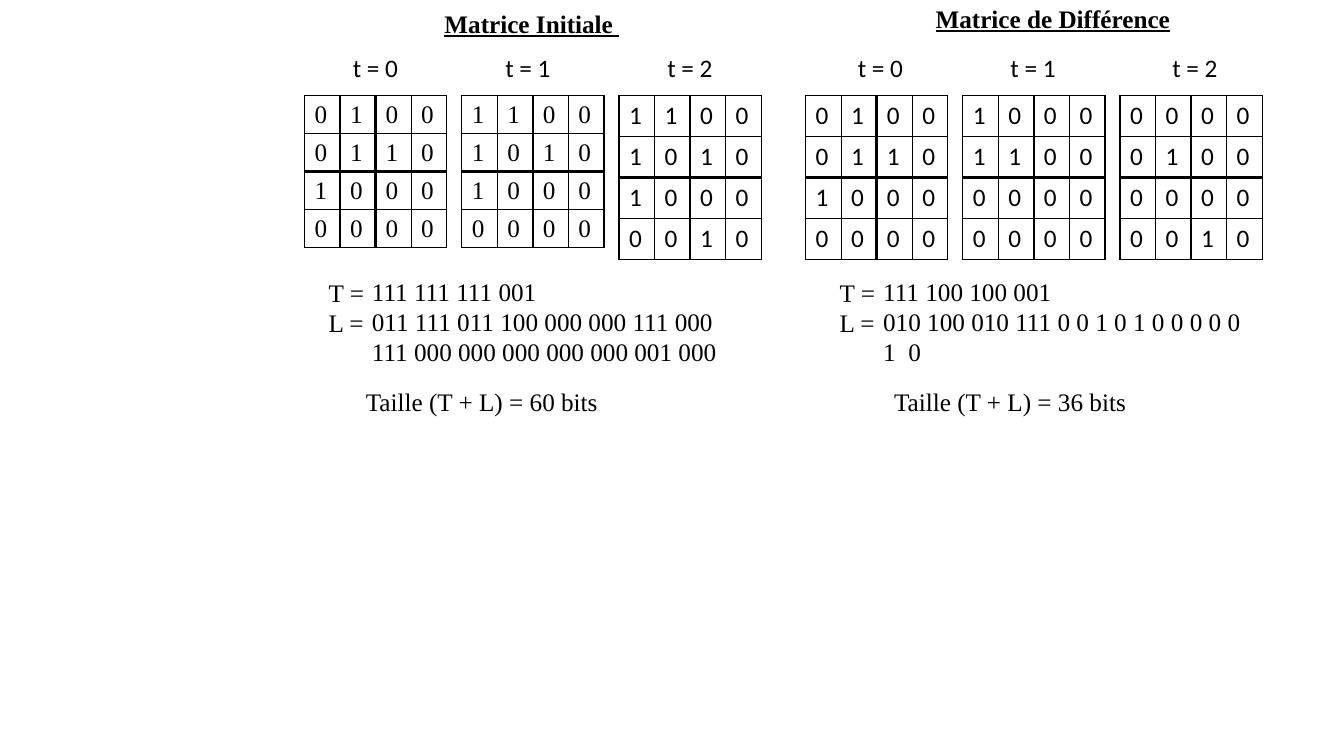
from dataclasses import dataclass

from lxml import etree
from pptx import Presentation
from pptx.dml.color import RGBColor
from pptx.enum.text import MSO_AUTO_SIZE
from pptx.oxml.ns import qn
from pptx.util import Inches, Pt

NO_AUTOFIT = MSO_AUTO_SIZE.NONE
SLIDE_WIDTH, SLIDE_HEIGHT = Inches(13.33), Inches(7.5)
SERIF, SANS = "Times New Roman", "Calibri"
BLACK = "000000"
TEXT_SIZE = 18
THIN, THICK = 1, 2.25
MATRIX_SIZE = 4

# Places and sizes are percentages of the slide's width and height
MATRIX_STEP, MATRIX_TOP = 11.7, 12.67
MATRIX_WIDTH, MATRIX_HEIGHT = 10.58, 19.2
LINE_HEIGHT = 5.33
TIME_TABS = (11.35, 23.4)


@dataclass
class Panel:
    title: str
    title_box: tuple
    matrix_left: float
    matrices: tuple
    fonts: tuple
    times_left: float
    keys_left: float
    values_left: float
    values: tuple
    total: str
    total_left: float


PANELS = (
    Panel(
        title="Matrice Initiale ", title_box=(32.33, 0.4, 14.7, LINE_HEIGHT),
        matrix_left=22.66,
        matrices=("0100 0110 1000 0000", "1100 1010 1000 0000", "1100 1010 1000 0010"),
        fonts=(SERIF, SERIF, SANS),
        times_left=25.51, keys_left=23.71, values_left=26.93,
        values=("111 111 111 001",
                "011 111 011 100 000 000 111 000 111 000 000 000 000 000 001 000"),
        total="Taille (T + L) = 60 bits", total_left=26.48),
    Panel(
        title="Matrice de Différence", title_box=(68.87, -0.27, 19.13, LINE_HEIGHT),
        matrix_left=59.94,
        matrices=("0100 0110 1000 0000", "1000 1100 0000 0000", "0000 0100 0000 0010"),
        fonts=(SANS, SANS, SANS),
        times_left=63.09, keys_left=61.74, values_left=64.97,
        values=("111 100 100 001", "010 100 010 111 0 0 1 0 1 0 0 0 0 0 1  0"),
        total="Taille (T + L) = 36 bits", total_left=65.79),
)


def color(hex_string):
    return RGBColor.from_string(hex_string)


def across(share):
    return round(SLIDE_WIDTH * share / 100)


def down(share):
    return round(SLIDE_HEIGHT * share / 100)


def place(left, top, width, height):
    return across(left), down(top), across(width), down(height)


def style_paragraph(paragraph, font_name, heading=False):
    font = paragraph.font
    font.name, font.size = font_name, Pt(TEXT_SIZE)
    font.color.rgb = color(BLACK)
    if heading:
        font.bold = font.underline = True


def add_text(slide, box, lines, font_name=SERIF, heading=False):
    shape = slide.shapes.add_textbox(*place(*box))
    frame = shape.text_frame
    frame.word_wrap = not heading
    frame.auto_size = NO_AUTOFIT
    frame.text = "\n".join(lines)
    for paragraph in frame.paragraphs:
        style_paragraph(paragraph, font_name, heading)
    return shape


def set_tabs(paragraph, positions):
    tab_list = etree.Element(qn("a:tabLst"))
    for position in positions:
        etree.SubElement(tab_list, qn("a:tab"), pos=str(across(position)), algn="l")
    paragraph._p.get_or_add_pPr().insert(0, tab_list)


def set_borders(cell, row, column):
    """Thicken the sides that lie on the matrix's two middle lines."""
    middle = MATRIX_SIZE // 2
    on_middle = {"lnL": column == middle, "lnR": column + 1 == middle,
                 "lnT": row == middle, "lnB": row + 1 == middle}
    properties = cell._tc.get_or_add_tcPr()
    for side, thick in on_middle.items():
        width = Pt(THICK if thick else THIN)
        line = etree.SubElement(properties, qn(f"a:{side}"), w=str(width))
        fill = etree.SubElement(line, qn("a:solidFill"))
        etree.SubElement(fill, qn("a:srgbClr"), val=BLACK)


def add_matrix(slide, left, digits, font_name):
    box = place(left, MATRIX_TOP, MATRIX_WIDTH, MATRIX_HEIGHT)
    table = slide.shapes.add_table(MATRIX_SIZE, MATRIX_SIZE, *box).table
    table.first_row = table.horz_banding = False
    for row, row_digits in enumerate(digits.split()):
        for column, digit in enumerate(row_digits):
            cell = table.cell(row, column)
            cell.text = digit
            style_paragraph(cell.text_frame.paragraphs[0], font_name)
            set_borders(cell, row, column)
            cell.fill.background()


def add_panel(slide, panel):
    # Heading and time labels
    add_text(slide, panel.title_box, [panel.title], heading=True)
    times = add_text(slide, (panel.times_left, 6.27, 29.03, LINE_HEIGHT),
                     ["t = 0\tt = 1\tt = 2"], SANS)
    set_tabs(times.text_frame.paragraphs[0], TIME_TABS)

    # One matrix for each time
    for index, (digits, font_name) in enumerate(zip(panel.matrices, panel.fonts)):
        add_matrix(slide, panel.matrix_left + index * MATRIX_STEP, digits, font_name)

    # Codes and their total size
    add_text(slide, (panel.keys_left, 36, 28.96, 9.47), ["T =", "L ="])
    add_text(slide, (panel.values_left, 35.87, 28.96, 13.47), panel.values)
    add_text(slide, (panel.total_left, 50.4, 20.03, LINE_HEIGHT), [panel.total])


def main():
    presentation = Presentation()
    presentation.slide_width, presentation.slide_height = SLIDE_WIDTH, SLIDE_HEIGHT
    slide = presentation.slides.add_slide(presentation.slide_layouts[6])
    for panel in PANELS:
        add_panel(slide, panel)
    presentation.save("out.pptx")


if __name__ == "__main__":
    main()
